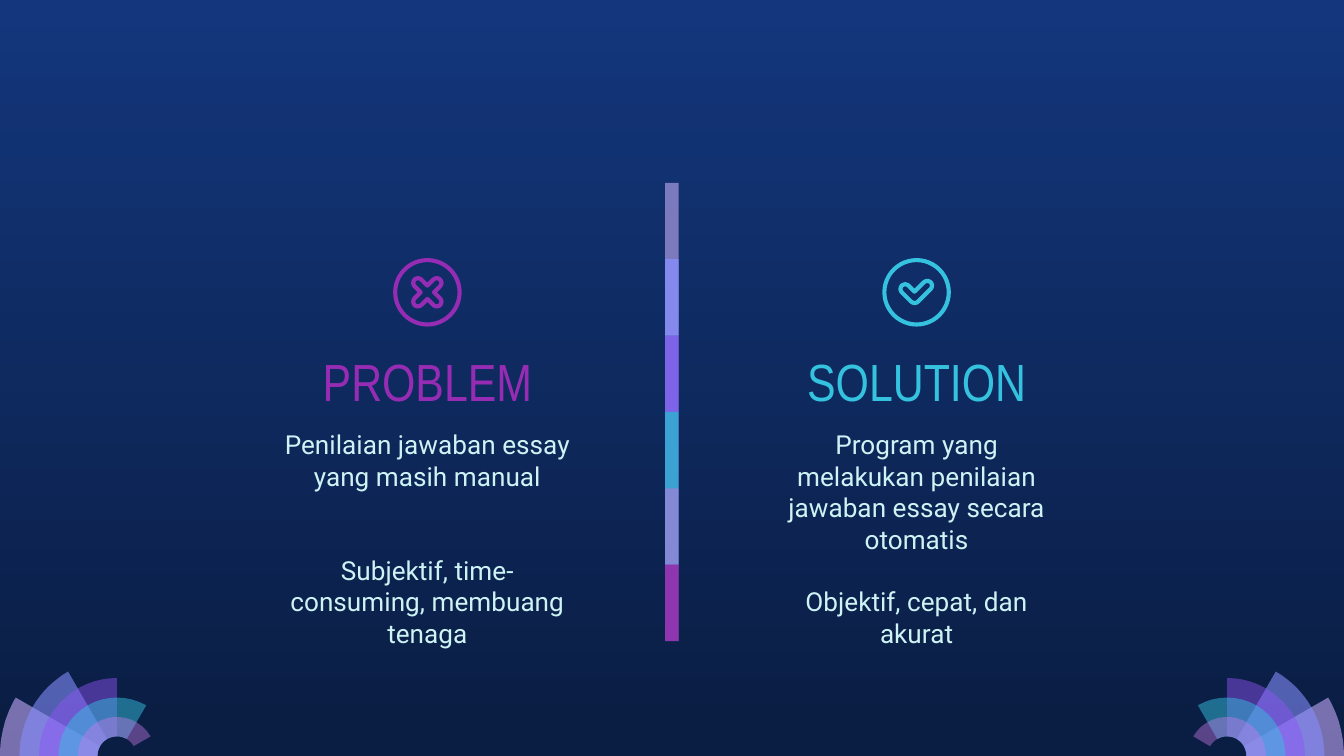
import math

import pptx
import pptx.dml.color
import pptx.enum.shapes
import pptx.enum.text
import pptx.oxml
import pptx.oxml.ns
import pptx.util

Inches = pptx.util.Inches
Pt = pptx.util.Pt
RGBColor = pptx.dml.color.RGBColor
MSO_SHAPE = pptx.enum.shapes.MSO_SHAPE

NAVY_TOP = RGBColor(0x13, 0x36, 0x7C)
NAVY_BOTTOM = RGBColor(0x0A, 0x1D, 0x42)
LAVENDER = RGBColor(0xC8, 0xAC, 0xFD)
LAVENDER_BAR = RGBColor(0xC8, 0xAE, 0xF8)
PERIWINKLE = RGBColor(0x87, 0x8F, 0xFF)
VIOLET = RGBColor(0x91, 0x54, 0xF8)
CYAN = RGBColor(0x35, 0xC2, 0xDF)
ORCHID = RGBColor(0xCA, 0x7B, 0xEB)
PURPLE = RGBColor(0x97, 0x2C, 0xB4)
PALE = RGBColor(0xCE, 0xF3, 0xF5)

slide_height = 10 * 9 / 16
prs = pptx.Presentation()
prs.slide_width = Inches(10)
prs.slide_height = Inches(slide_height)
s = prs.slides.add_slide(prs.slide_layouts[6])

bg = s.background.fill
bg.gradient()
bg.gradient_angle = 270
for stop, color in zip(bg.gradient_stops, (NAVY_TOP, NAVY_BOTTOM)):
    stop.color.rgb = color


def paint(sp, color, opacity=100):
    sp.shadow.inherit = False
    sp.fill.solid()
    sp.fill.fore_color.rgb = color
    sp.line.fill.background()
    if opacity < 100:
        qn = pptx.oxml.ns.qn
        clr = sp._element.spPr.find(qn("a:solidFill")).find(qn("a:srgbClr"))
        alpha = pptx.oxml.parse_xml(
            f'<a:alpha {pptx.oxml.ns.nsdecls("a")} val="{opacity * 1000}"/>')
        clr.append(alpha)


def outline(arcs, x, y):
    """Join arcs (cx, cy, radius, start, end) around x, y inches.

    Arc lengths are thousandths of an inch; angles run clockwise in degrees.
    """
    steps = 16
    points = []
    for cx, cy, radius, start, end in arcs:
        for i in range(steps + 1 if radius else 1):
            a = math.radians(start + (end - start) * i / steps)
            points.append((cx + radius * math.cos(a), cy + radius * math.sin(a)))
    fb = s.shapes.build_freeform(*points[0], scale=Inches(1) / 1000)
    fb.add_line_segments(points[1:], close=True)
    return fb.convert_to_shape(Inches(x), Inches(y))


# Corner fans: each blade is one ring shorter and 30 degrees wider
blades = [(LAVENDER, 58), (PERIWINKLE, 58), (VIOLET, 46), (CYAN, 49), (ORCHID, 42)]
ring = 145
for x, start, turn in ((0.87, 180, 1), (9.13, 0, -1)):
    for i, (color, opacity) in enumerate(blades):
        end = start + turn * 30 * (i + 1)
        blade = outline([(0, 0, ring * (6 - i), start, end),
                         (0, 0, ring, end, start)], x, slide_height)
        paint(blade, color, opacity)

# Divider: overlapping bars, the last one half as tall
bars = [(LAVENDER_BAR, 59), (PERIWINKLE, 74), (VIOLET, 53),
        (CYAN, 76), (ORCHID, 56), (PURPLE, 74)]
step = 3.41 / len(bars)
for i, (color, opacity) in enumerate(bars):
    height = step if i == len(bars) - 1 else 2 * step
    sp = s.shapes.add_shape(MSO_SHAPE.RECTANGLE, Inches(4.95),
                            Inches(1.36 + i * step), Inches(0.1), Inches(height))
    paint(sp, color, opacity)

# Icon glyphs: four rounded arms with notches between, and a rounded tick
cross = []
for a in (45, 135, 225, 315):
    tip = 70 * math.sqrt(2)
    cx, cy = tip * math.cos(math.radians(a)), tip * math.sin(math.radians(a))
    notch = math.radians(a + 45)
    cross += [(cx, cy, 35, a - 90, a + 90),
              (50 * math.cos(notch), 50 * math.sin(notch), 0, 0, 0)]
tick = [(80, -50, 35, -135, 45), (-15, 45, 35, 45, 135),
        (-85, -25, 35, 135, 315), (-15, -5, 0, 0, 0)]

columns = [
    (2.01, "PROBLEM", PURPLE, cross, 1.71, 33.6,
     ["Penilaian jawaban essay yang masih manual",
      "Subjektif, time-consuming, membuang tenaga"]),
    (5.65, "SOLUTION", CYAN, tick, 1.12, 16.8,
     ["Program yang melakukan penilaian jawaban essay secara otomatis",
      "Objektif, cepat, dan akurat"]),
]
width, icon = 2.34, 0.51
for left, title, color, glyph, body_height, gap, body in columns:
    center = left + width / 2
    sp = s.shapes.add_shape(MSO_SHAPE.DONUT, Inches(center - icon / 2),
                            Inches(1.92), Inches(icon), Inches(icon))
    sp.adjustments[0] = 0.06
    paint(sp, color)

    sp = outline(glyph, center, 1.92 + icon / 2)
    sp.shadow.inherit = False
    sp.fill.background()
    sp.line.color.rgb = color
    sp.line.width = Pt(2.25)

    for top, height, texts, font, size, ink in (
            (2.5, 0.63, [title], "Arial Narrow", 28, color),
            (3.09, body_height, body, "Roboto", 14, PALE)):
        tf = s.shapes.add_textbox(Inches(left), Inches(top),
                                  Inches(width), Inches(height)).text_frame
        tf.word_wrap = True
        tf.margin_left = tf.margin_right = Inches(0.1)
        tf.margin_top = tf.margin_bottom = Inches(0.1)
        for i, text in enumerate(texts):
            p = tf.add_paragraph() if i else tf.paragraphs[0]
            p.alignment = pptx.enum.text.PP_ALIGN.CENTER
            if i:
                p.space_before = Pt(gap)
            r = p.add_run()
            r.text = text
            r.font.name = font
            r.font.size = Pt(size)
            r.font.color.rgb = ink

prs.save("out.pptx")
